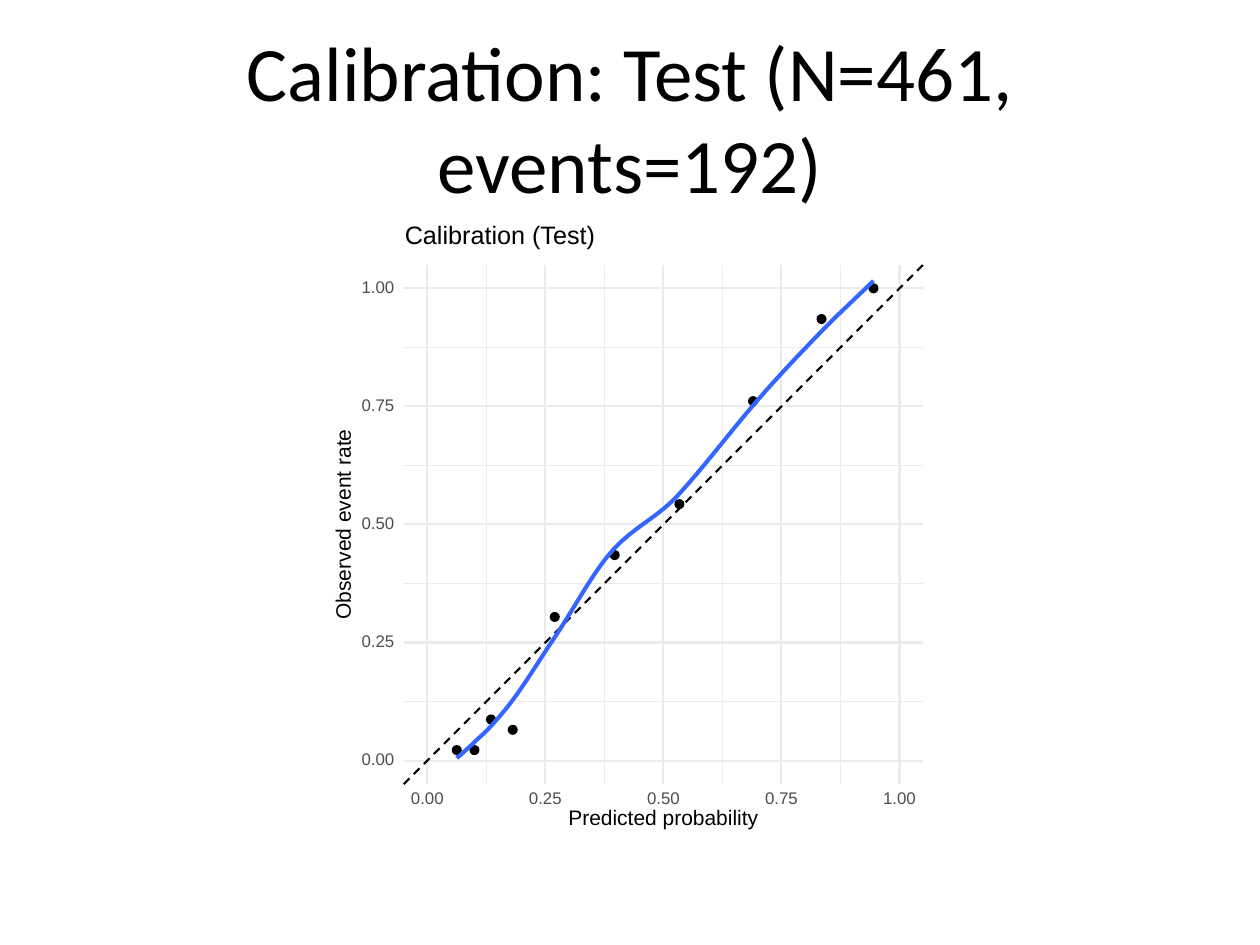
import collections
import itertools

import pptx
import pptx.dml.color
import pptx.enum.dml
import pptx.enum.shapes
import pptx.enum.text
import pptx.oxml
import pptx.oxml.ns
import pptx.util

Pt = pptx.util.Pt
SHAPES = pptx.enum.shapes.MSO_SHAPE
COLORS = {"paper": "FFFFFF", "ink": "000000", "grid": "EBEBEB", "tick": "4D4D4D", "fit": "3366FF"}

AXIS_LOW, AXIS_HIGH = -5, 105
MAJOR_STEP = 25
MAJOR_TICKS = range(0, 101, MAJOR_STEP)
MINOR_TICKS = [tick + MAJOR_STEP / 2 for tick in MAJOR_TICKS[:-1]]
GRID_WEIGHTS = [(MINOR_TICKS, 0.58), (MAJOR_TICKS, 1.16)]
CURVE_STEPS = 9

Bin = collections.namedtuple("Bin", "predicted observed fitted slope")
BINS = [
    Bin(6.25, 2.2, 0.5, 0.85),
    Bin(10, 2.2, 3.9, 0.95),
    Bin(13.5, 8.7, 7.3, 1.1),
    Bin(18.1, 6.5, 12.8, 1.35),
    Bin(27, 30.4, 26.1, 1.49),
    Bin(39.7, 43.5, 45, 1.05),
    Bin(53.4, 54.3, 56.5, 1.1),
    Bin(69, 76.1, 75.2, 1.17),
    Bin(83.5, 93.5, 90.9, 1.03),
    Bin(94.5, 100, 101.6, 0.98),
]


def rgb(name):
    """Return the palette colour as an RGBColor."""
    return pptx.dml.color.RGBColor.from_string(COLORS[name])


def style_line(line, color, width):
    """Give a line its colour and width."""
    line.color.rgb = rgb(color)
    line.width = Pt(width)


def write_text(frame, text, font_name, size, color):
    """Write one vertically centred paragraph and return it."""
    frame.vertical_anchor = pptx.enum.text.MSO_ANCHOR.MIDDLE
    paragraph = frame.paragraphs[0]
    paragraph.text = text
    paragraph.font.name = font_name
    paragraph.font.size = Pt(size)
    paragraph.font.color.rgb = rgb(color)
    return paragraph


def add_filled(parent, kind, box, color, line_width=0):
    """Add a filled preset shape, outlined in its own colour if a width is given."""
    filled = parent.add_shape(kind, *map(Pt, box))
    filled.shadow.inherit = False
    filled.fill.solid()
    filled.fill.fore_color.rgb = rgb(color)
    if line_width:
        style_line(filled.line, color, line_width)
    else:
        filled.line.fill.background()


def add_rule(parent, start, end, color, width):
    """Add a straight line without shadow."""
    rule = parent.add_connector(
        pptx.enum.shapes.MSO_CONNECTOR.STRAIGHT, *map(Pt, (*start, *end)))
    style_line(rule.line, color, width)
    rule._element.spPr.append(pptx.oxml.parse_xml(
        f"<a:effectLst {pptx.oxml.ns.nsdecls('a')}/>"))
    return rule


def add_label(parent, center, extent, text, size, color="ink", rotation=0):
    """Add a tight one-line label around a centre point."""
    (x, y), (width, height) = center, extent
    label = parent.add_textbox(*map(Pt, (x - width / 2, y - height / 2, width, height)))
    label.rotation = rotation
    frame = label.text_frame
    frame.margin_left = frame.margin_right = frame.margin_top = frame.margin_bottom = 0
    frame.word_wrap = False
    write_text(frame, text, "Arial", size, color).line_spacing = Pt(size)


def add_grid(plot, at):
    """Draw the minor grid lines, then the major ones over them."""
    for ticks, weight in GRID_WEIGHTS:
        for tick in ticks:
            add_rule(plot, at(AXIS_LOW, tick), at(AXIS_HIGH, tick), "grid", weight)
        for tick in ticks:
            add_rule(plot, at(tick, AXIS_LOW), at(tick, AXIS_HIGH), "grid", weight)


def add_bin_dots(plot, at, diameter=5):
    """Mark the observed rate of each bin with a dot."""
    for each in BINS:
        x, y = at(each.predicted, each.observed)
        add_filled(plot, SHAPES.OVAL,
                   (x - diameter / 2, y - diameter / 2, diameter, diameter), "ink", 0.77)


def blend(start, end, t):
    """Return the cubic Hermite point a fraction t of the way between two bins."""
    gap = end.predicted - start.predicted
    rise = end.fitted - start.fitted
    fitted = (start.fitted + rise * t * t * (3 - 2 * t)
              + gap * start.slope * t * (1 - t) ** 2
              - gap * end.slope * t * t * (1 - t))
    return start.predicted + gap * t, fitted


def add_fit_curve(plot, at):
    """Draw the smoothed fit by blending from each bin to the next."""
    curve = [blend(start, end, step / CURVE_STEPS)
             for start, end in itertools.pairwise(BINS) for step in range(CURVE_STEPS)]
    curve.append((BINS[-1].predicted, BINS[-1].fitted))
    first, *rest = [tuple(map(Pt, at(*point))) for point in curve]
    builder = plot.build_freeform(*first)
    builder.add_line_segments(rest, close=False)
    fit_curve = builder.convert_to_shape()
    fit_curve.shadow.inherit = False
    fit_curve.fill.background()
    style_line(fit_curve.line, "fit", 2.33)


def add_plot_labels(plot, at):
    """Write tick labels, axis titles and the plot title around the panel."""
    left, bottom = at(AXIS_LOW, AXIS_LOW)
    top = at(AXIS_LOW, AXIS_HIGH)[1]
    middle_x, middle_y = at(50, 50)
    beside_y_axis = [(left - 14.7, at(0, tick)[1]) for tick in MAJOR_TICKS]
    below_x_axis = [(at(tick, 0)[0], bottom + 8.8) for tick in MAJOR_TICKS]
    for centers in (beside_y_axis, below_x_axis):
        for tick, center in zip(MAJOR_TICKS, centers):
            add_label(plot, center, (18.7, 7.2), f"{tick / 100:.2f}", 9.6, "tick")
    add_label(plot, (middle_x, bottom + 20.3), (108.7, 10.8), "Predicted probability", 12)
    add_label(plot, (left - 33.8, middle_y), (108.7, 8.6), "Observed event rate", 12,
              rotation=270)
    add_label(plot, (left + 55.6, top - 16), (110, 13.7), "Calibration (Test)", 14.4)


def add_calibration_plot(slide, left, top, width, height):
    """Draw the calibration plot, in percent units, inside its box."""
    plot = slide.shapes.add_group_shape().shapes
    canvas_width = 347
    canvas_left = left + (width - canvas_width) / 2
    add_filled(plot, SHAPES.RECTANGLE, (left, top, width, height), "paper", 0.75)
    add_filled(plot, SHAPES.RECTANGLE, (canvas_left, top, canvas_width, height), "paper")

    panel_side = 296.8
    panel_left = canvas_left + 44.2
    panel_bottom = top + 25.3 + panel_side
    unit = panel_side / (AXIS_HIGH - AXIS_LOW)

    def at(predicted, rate):
        """Map a pair of percentages to slide points."""
        return panel_left + (predicted - AXIS_LOW) * unit, panel_bottom - (rate - AXIS_LOW) * unit

    add_grid(plot, at)
    ideal = add_rule(plot, at(AXIS_LOW, AXIS_LOW), at(AXIS_HIGH, AXIS_HIGH), "ink", 1.16)
    ideal.line.dash_style = pptx.enum.dml.MSO_LINE.DASH
    add_bin_dots(plot, at)
    add_fit_curve(plot, at)
    add_plot_labels(plot, at)


def add_title(slide, left, top, width, height):
    """Place the slide heading in its box."""
    frame = slide.shapes.add_textbox(*map(Pt, (left, top, width, height))).text_frame
    frame.word_wrap = True
    heading = write_text(frame, "Calibration: Test (N=461, events=192)", "Calibri", 44, "ink")
    heading.alignment = pptx.enum.text.PP_ALIGN.CENTER


def main():
    """Build and save the slide."""
    presentation = pptx.Presentation()
    presentation.slide_width, presentation.slide_height = Pt(720), Pt(540)
    slide = presentation.slides.add_slide(presentation.slide_layouts[6])
    add_title(slide, 36, 21.6, 648, 90)
    add_calibration_plot(slide, 36, 126, 648, 356.4)
    presentation.save("out.pptx")


if __name__ == "__main__":
    main()
